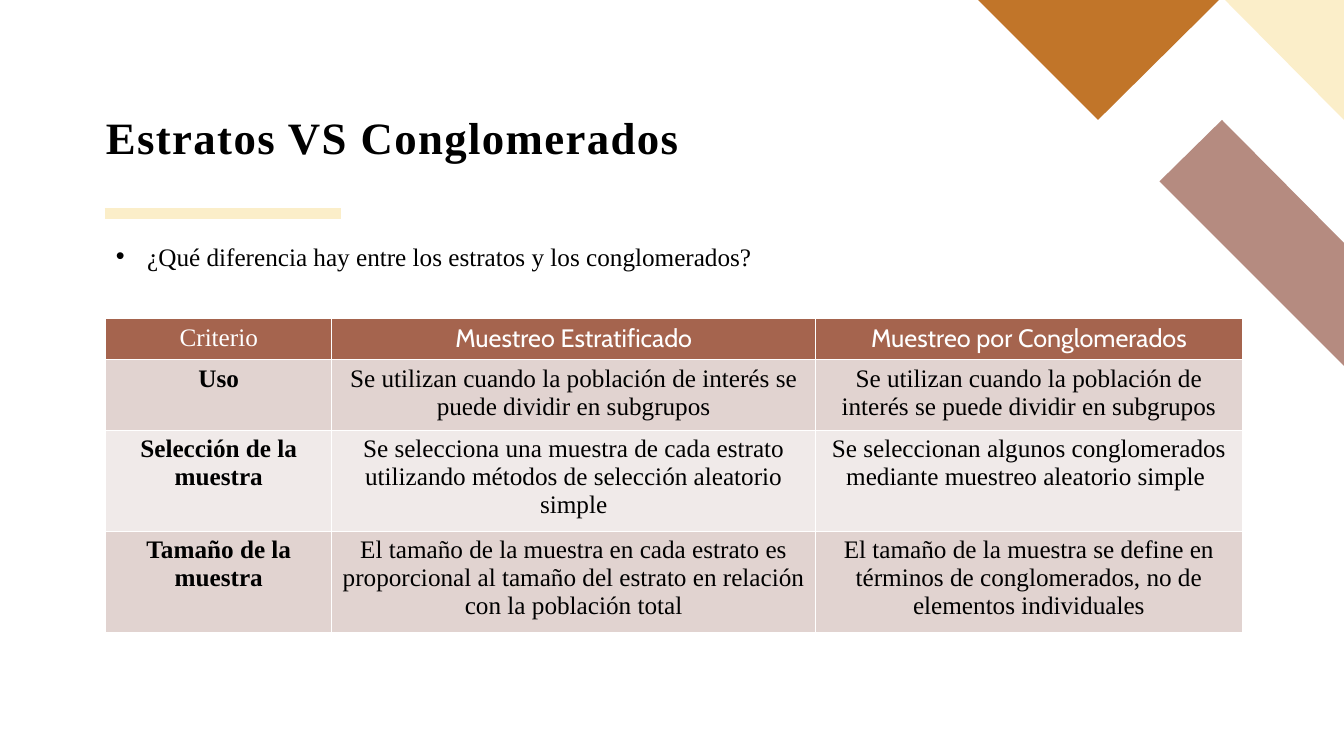
from lxml import etree
from pptx import Presentation
from pptx.dml.color import RGBColor
from pptx.enum.shapes import MSO_CONNECTOR
from pptx.enum.text import MSO_ANCHOR, MSO_AUTO_SIZE, PP_ALIGN
from pptx.oxml.ns import qn
from pptx.util import Inches, Pt

STRAIGHT = MSO_CONNECTOR.STRAIGHT
TOP, BOTTOM = MSO_ANCHOR.TOP, MSO_ANCHOR.BOTTOM
GROW, NO_FIT = MSO_AUTO_SIZE.SHAPE_TO_FIT_TEXT, MSO_AUTO_SIZE.NONE
CENTER, JUSTIFY = PP_ALIGN.CENTER, PP_ALIGN.JUSTIFY

SERIF, SANS = "Times New Roman", "Cabin"
BLACK, WHITE = "000000", "FFFFFF"
CREAM, ORANGE, ROSE = "FBEEC9", "C17529", "B58B80"
HEADER_FILL, DARK_BAND, LIGHT_BAND = "A5644E", "E1D3D0", "F0EAE9"

DECORATIONS = [
    (ROSE, [(13.33, 3.63), (13.33, 2.41), (12.12, 1.19), (11.5, 1.8)]),
    (CREAM, [(13.33, 1.19), (13.33, 0), (12.15, 0)]),
    (ORANGE, [(9.7, 0), (10.89, 1.19), (12.09, 0)]),
]
COLUMN_WIDTHS = [2.24, 4.8, 4.23]
ROW_HEIGHTS = [0.41, 0.7, 1, 1]
ROWS = [
    ["Criterio", "Muestreo Estratificado", "Muestreo por Conglomerados"],
    ["Uso",
     "Se utilizan cuando la población de interés se puede dividir en subgrupos",
     "Se utilizan cuando la población de interés se puede dividir en subgrupos"],
    ["Selección de la muestra",
     "Se selecciona una muestra de cada estrato utilizando métodos de selección aleatorio simple",
     "Se seleccionan algunos conglomerados mediante muestreo aleatorio simple "],
    ["Tamaño de la muestra",
     "El tamaño de la muestra en cada estrato es proporcional al tamaño del estrato en relación con la población total",
     "El tamaño de la muestra se define en términos de conglomerados, no de elementos individuales"],
]


def color(value):
    return RGBColor.from_string(value)


def apply(target, values):
    for name, value in values.items():
        setattr(target, name, value)


class SlideBuilder:
    def __init__(self, slide):
        self.slide = slide

    def add_text(self, frame, text, align, size=18, font=SERIF, fill=BLACK, bold=False):
        paragraph = frame.paragraphs[0]
        apply(paragraph, {"alignment": align, "space_before": Pt(0)})
        run = paragraph.add_run()
        run.text = text
        apply(run.font, {"name": font, "size": Pt(size), "bold": bold})
        run.font.color.rgb = color(fill)
        return paragraph

    def place(self, shape, left, top, width, height):
        apply(shape, {"left": Inches(left), "top": Inches(top),
                      "width": Inches(width), "height": Inches(height)})

    def title(self, text, box):
        shape = self.slide.shapes.title
        self.place(shape, *box)
        frame = shape.text_frame
        apply(frame, {"vertical_anchor": BOTTOM, "auto_size": NO_FIT, "word_wrap": True,
                      "margin_left": 0, "margin_right": 0,
                      "margin_top": 0, "margin_bottom": 0})
        paragraph = self.add_text(frame, text, JUSTIFY, size=32, bold=True)
        paragraph.line_spacing = 0.9
        paragraph.runs[0]._r.get_or_add_rPr().set("spc", "100")

    def bullet(self, text, box):
        shape = self.slide.placeholders[1]
        self.place(shape, *box)
        frame = shape.text_frame
        apply(frame, {"vertical_anchor": TOP, "auto_size": GROW, "word_wrap": True})
        paragraph = self.add_text(frame, text, JUSTIFY)
        properties = paragraph._p.get_or_add_pPr()
        properties.set("marL", str(Inches(0.31)))
        properties.set("indent", str(-Inches(0.31)))
        etree.SubElement(properties, qn("a:buFont")).set("typeface", "Arial")
        etree.SubElement(properties, qn("a:buChar")).set("char", "•")

    def line(self, start, end, fill, width):
        connector = self.slide.shapes.add_connector(
            STRAIGHT, *[Inches(value) for value in start + end])
        connector.line.color.rgb = color(fill)
        connector.line.width = Pt(width)
        etree.SubElement(connector._element.spPr, qn("a:effectLst"))

    def polygon(self, fill, points):
        corners = [(Inches(x), Inches(y)) for x, y in points]
        builder = self.slide.shapes.build_freeform(*corners[0])
        builder.add_line_segments(corners[1:], close=True)
        shape = builder.convert_to_shape()
        shape.shadow.inherit = False
        shape.fill.solid()
        shape.fill.fore_color.rgb = color(fill)
        shape.line.fill.background()

    def border(self, cell, fill, width):
        properties = cell._tc.get_or_add_tcPr()
        for index, side in enumerate(("a:lnL", "a:lnR", "a:lnT", "a:lnB")):
            edge = etree.Element(qn(side), w=str(Pt(width)))
            solid = etree.SubElement(edge, qn("a:solidFill"))
            etree.SubElement(solid, qn("a:srgbClr")).set("val", fill)
            properties.insert(index, edge)

    def table(self, rows, left, top, widths, heights):
        table = self.slide.shapes.add_table(
            len(rows), len(widths), Inches(left), Inches(top),
            Inches(sum(widths)), Inches(sum(heights))).table
        for column, width in zip(table.columns, widths):
            column.width = Inches(width)
        for row, height in zip(table.rows, heights):
            row.height = Inches(height)
        for row_index, texts in enumerate(rows):
            header = row_index == 0
            band = DARK_BAND if row_index % 2 else LIGHT_BAND
            for column_index, text in enumerate(texts):
                cell = table.cell(row_index, column_index)
                cell.fill.solid()
                cell.fill.fore_color.rgb = color(HEADER_FILL if header else band)
                self.border(cell, WHITE, 1)
                self.add_text(cell.text_frame, text, CENTER,
                              font=SANS if header and column_index else SERIF,
                              fill=WHITE if header else BLACK,
                              bold=not header and column_index == 0)


def main():
    presentation = Presentation()
    apply(presentation, {"slide_width": Inches(13.33), "slide_height": Inches(7.5)})
    builder = SlideBuilder(presentation.slides.add_slide(presentation.slide_layouts[1]))
    builder.line((1.04, 2.12), (3.38, 2.12), CREAM, 8)
    for fill, points in DECORATIONS:
        builder.polygon(fill, points)
    builder.title("Estratos VS Conglomerados", (1.05, 0.96, 9.05, 0.67))
    builder.bullet("¿Qué diferencia hay entre los estratos y los conglomerados?",
                   (1.05, 2.34, 10.21, 0.4))
    builder.table(ROWS, 1.05, 3.16, COLUMN_WIDTHS, ROW_HEIGHTS)
    presentation.save("out.pptx")


if __name__ == "__main__":
    main()
